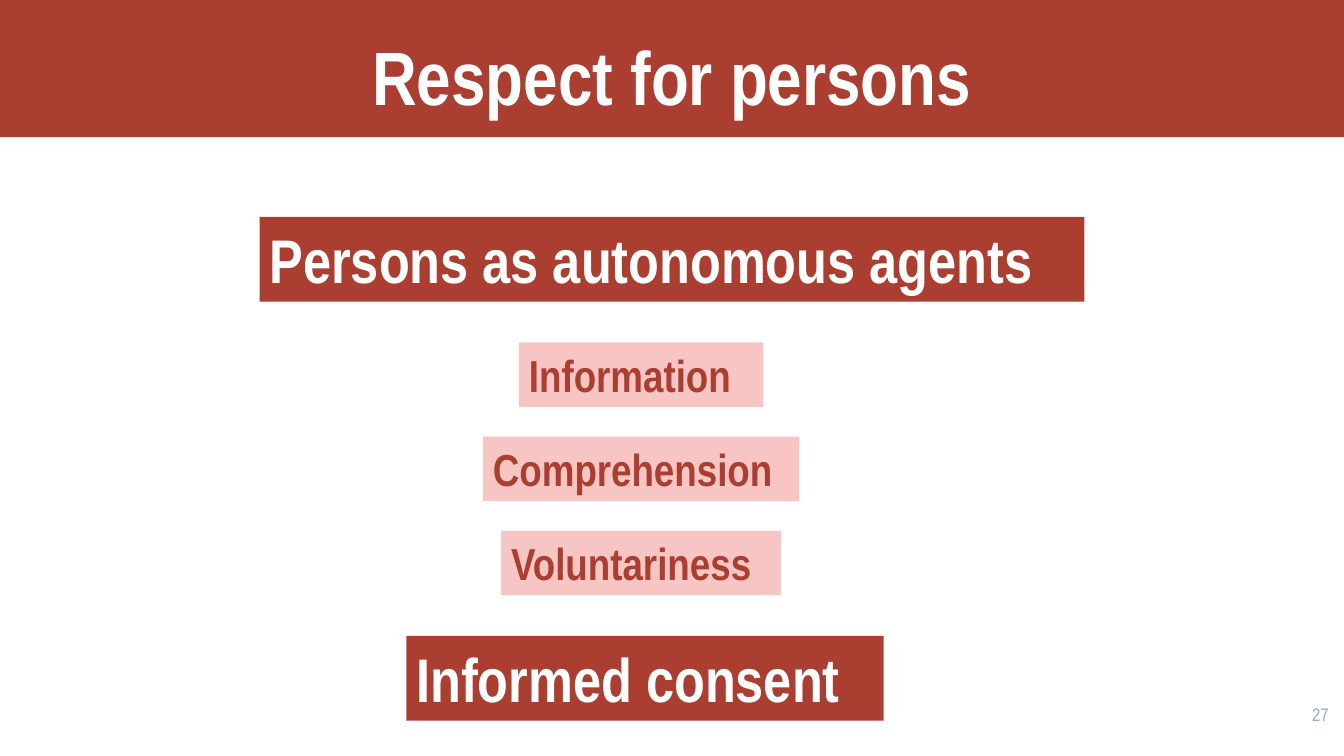
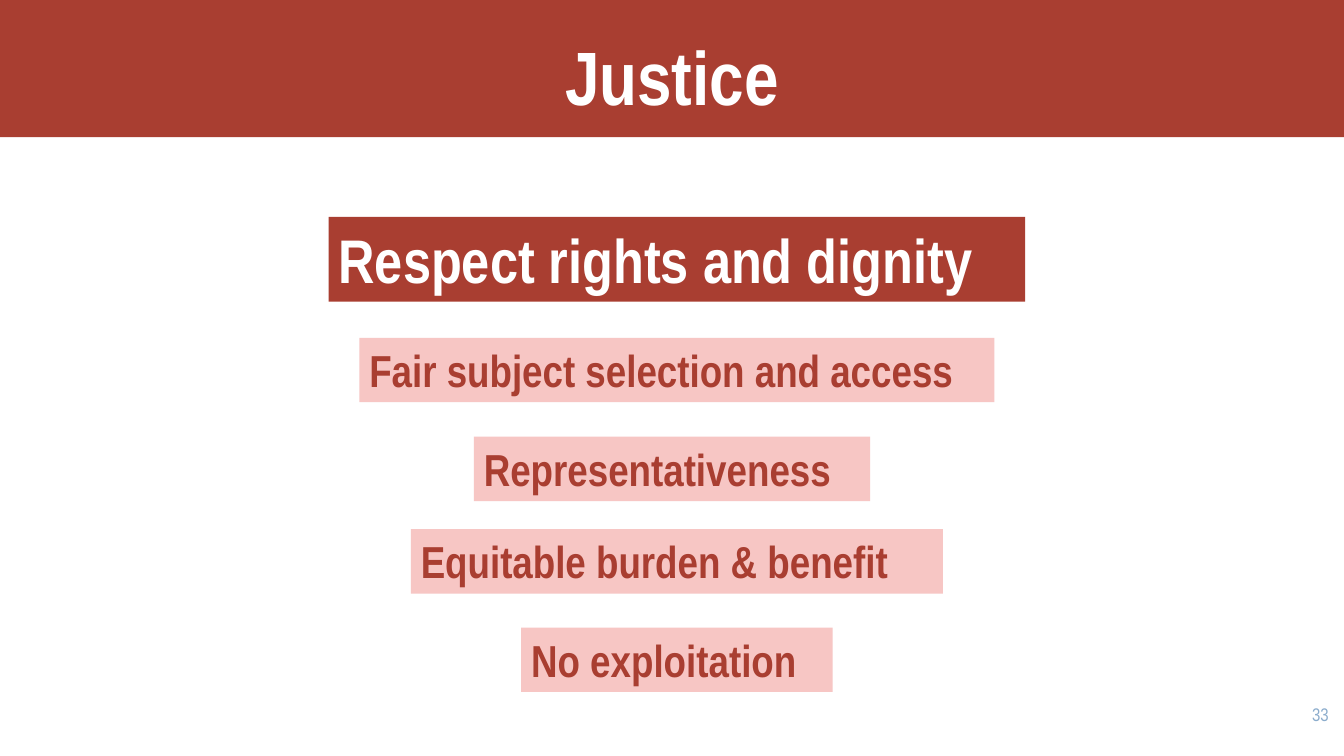
from pptx import Presentation
from pptx.dml.color import RGBColor
from pptx.enum.shapes import MSO_SHAPE as Shape
from pptx.enum.text import MSO_ANCHOR as Anchor, PP_ALIGN as Align
from pptx.util import Pt

FONT = "Arial Narrow"
WHITE, BRICK, PINK, SKY = "FFFFFF", "A93E31", "F7C6C4", "8BACCC"
WIDTH, HEIGHT, BAND_HEIGHT = 960, 540, 98


def color(code):
    """Turn a hex string into a colour."""
    return RGBColor.from_string(code)


class Deck:
    """The shared style and the slide being built."""

    def __init__(self):
        """Open an empty presentation of the right size."""
        self.deck = Presentation()
        self.deck.slide_width, self.deck.slide_height = Pt(WIDTH), Pt(HEIGHT)
        self.page = None

    def set_text(self, shape, text, size, code, bold=True, align=Align.LEFT, anchor=Anchor.TOP):
        """Fill a shape with one formatted paragraph."""
        frame = shape.text_frame
        frame.text = text
        frame.word_wrap = True
        frame.vertical_anchor = anchor
        frame.margin_left = frame.margin_right = Pt(7.2)
        frame.margin_top = frame.margin_bottom = Pt(3.6)
        para = frame.paragraphs[0]
        para.alignment = align
        font = para.runs[0].font
        font.name, font.size, font.bold = FONT, Pt(size), bold
        font.color.rgb = color(code)

    def block(self, left, top, width, height, fill):
        """Draw a plain filled rectangle."""
        box = self.page.shapes.add_shape(Shape.RECTANGLE, Pt(left), Pt(top), Pt(width), Pt(height))
        box.shadow.inherit = False
        box.fill.solid()
        box.fill.fore_color.rgb = color(fill)
        box.line.fill.background()
        return box

    def slide(self, heading, number):
        """Start a slide with its band, title and number."""
        self.page = self.deck.slides.add_slide(self.deck.slide_layouts[5])
        title = self.page.shapes.title
        band = self.block(0, 0, WIDTH, BAND_HEIGHT, BRICK)
        title.element.addprevious(band.element)
        title.left, title.top = Pt(0), Pt(-8)
        title.width, title.height = Pt(WIDTH), Pt(BAND_HEIGHT)
        self.set_text(title, heading, 54, WHITE, align=Align.CENTER, anchor=Anchor.BOTTOM)
        box = self.page.shapes.add_textbox(Pt(898.5), Pt(499), Pt(57.6), Pt(41))
        self.set_text(box, number, 13, SKY, bold=False, align=Align.RIGHT)

    def principle(self, text, center, top, width):
        """Add a large dark label."""
        box = self.block(center - width / 2, top, width, 60.5, BRICK)
        self.set_text(box, text, 44, WHITE)

    def element(self, text, center, top, width):
        """Add a smaller pale label."""
        box = self.block(center - width / 2, top, width, 46, PINK)
        self.set_text(box, text, 32, BRICK)

    def save(self):
        """Save the presentation."""
        self.deck.save("out.pptx")


def main():
    """Build both slides."""
    deck = Deck()

    deck.slide("Respect for persons", "27")
    deck.principle("Persons as autonomous agents", 480, 155, 589)
    conditions = [("Information", 174.5), ("Comprehension", 226), ("Voluntariness", 200)]
    for row, (text, width) in enumerate(conditions):
        deck.element(text, 458, 244.6 + row * 67.3, width)
    deck.principle("Informed consent", 460.8, 454.3, 341)

    deck.slide("Justice", "33")
    deck.principle("Respect rights and dignity", 483.5, 155, 497.5)
    demands = [
        ("Fair subject selection and access", 483.5, 241.3, 453.6),
        ("Representativeness", 480, 311.9, 283),
        ("Equitable burden & benefit", 483.5, 378, 380),
        ("No exploitation", 483.5, 448.3, 222.5),
    ]
    for demand in demands:
        deck.element(*demand)

    deck.save()


if __name__ == "__main__":
    main()
